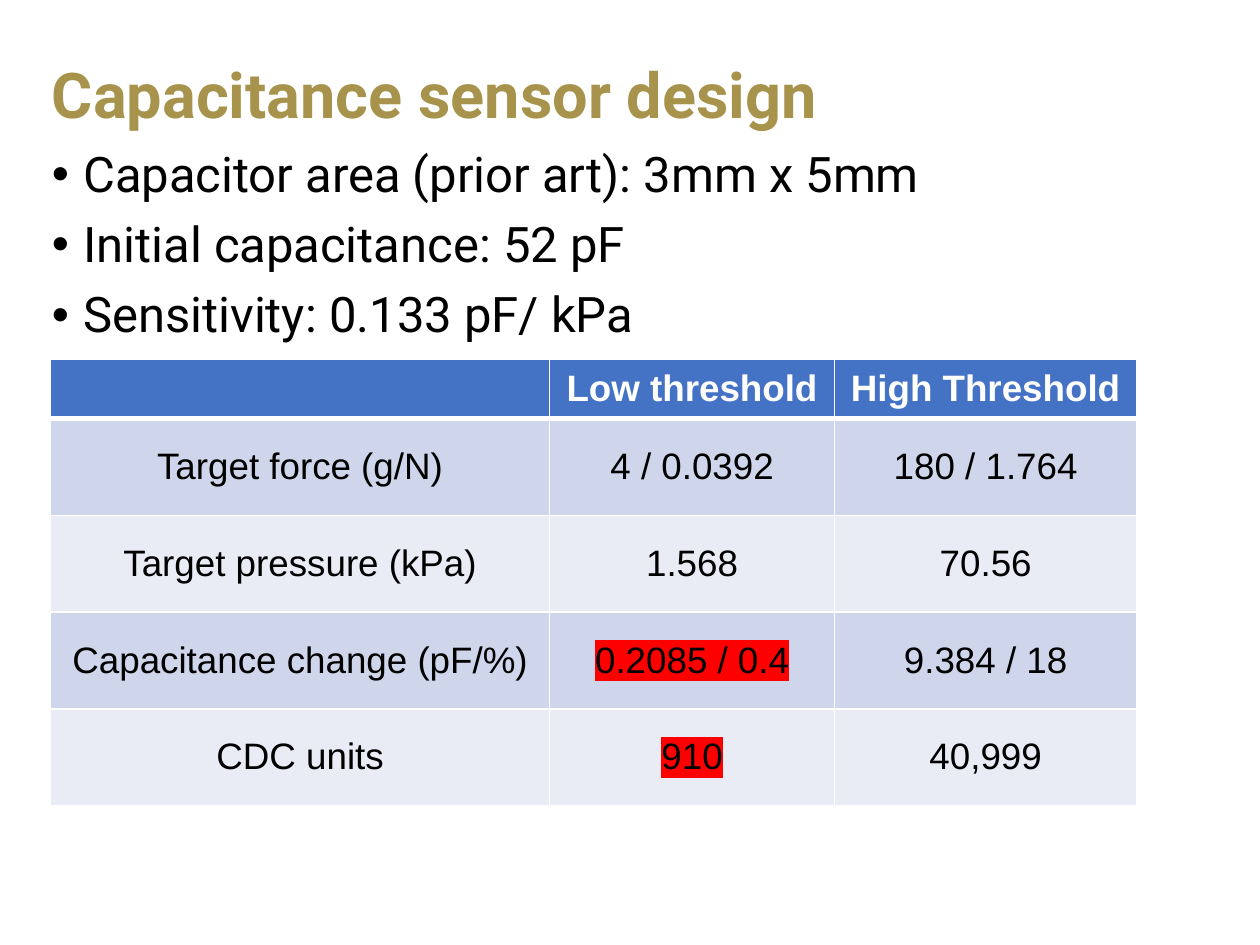
from lxml import etree
from pptx import Presentation
from pptx import util as u
from pptx.dml.color import RGBColor
from pptx.enum import text
from pptx.oxml import ns

GOLD = RGBColor(0xA7, 0x93, 0x4B)
BLACK = RGBColor(0, 0, 0)
WHITE = RGBColor(0xFF, 0xFF, 0xFF)
RED = RGBColor(0xFF, 0, 0)
HEADER_BLUE = RGBColor(0x44, 0x72, 0xC4)
BAND_DARK = RGBColor(0xCF, 0xD5, 0xEA)
BAND_LIGHT = RGBColor(0xE9, 0xEB, 0xF5)

FACTS = [
    "Capacitor area (prior art): 3mm x 5mm",
    "Initial capacitance: 52 pF",
    "Sensitivity: 0.133 pF/ kPa",
]
THRESHOLDS = [
    ["", "Low threshold", "High Threshold"],
    ["Target force (g/N)", "4 / 0.0392", "180 / 1.764"],
    ["Target pressure (kPa)", "1.568", "70.56"],
    ["Capacitance change (pF/%)", "0.2085 / 0.4", "9.384 / 18"],
    ["CDC units", "910", "40,999"],
]
HIGHLIGHTED = {(3, 1), (4, 1)}


def add_color(parent, color):
    fill = etree.SubElement(parent, ns.qn("a:solidFill"))
    etree.SubElement(fill, ns.qn("a:srgbClr"), val=str(color))


class SlideBuilder:
    heading_font = "Roboto"
    table_font = "Arial"

    def __init__(self, slide):
        self.slide = slide

    def format_runs(self, paragraph, font, size, color, bold=False):
        for run in paragraph.runs:
            run.font.name = font
            run.font.size = u.Pt(size)
            run.font.bold = bold
            run.font.color.rgb = color

    def title(self, wording, left, top, width, height):
        heading = self.slide.shapes.title
        heading.left, heading.top = u.Pt(left), u.Pt(top)
        heading.width, heading.height = u.Pt(width), u.Pt(height)
        frame = heading.text_frame
        frame.text = wording
        frame.vertical_anchor = text.MSO_ANCHOR.MIDDLE
        paragraph = frame.paragraphs[0]
        paragraph.alignment = text.PP_ALIGN.LEFT
        paragraph.line_spacing = 0.9
        self.format_runs(paragraph, self.heading_font, 36, GOLD, bold=True)

    def bullets(self, items, left, top, width, height):
        box = self.slide.shapes.add_textbox(
            u.Pt(left), u.Pt(top), u.Pt(width), u.Pt(height))
        frame = box.text_frame
        frame.word_wrap = True
        frame.text = "\n".join(items)
        for index, paragraph in enumerate(frame.paragraphs):
            properties = paragraph._p.get_or_add_pPr()
            properties.set("marL", str(u.Pt(18)))
            properties.set("indent", str(-u.Pt(18)))
            etree.SubElement(properties, ns.qn("a:buFont"), typeface="Arial")
            etree.SubElement(properties, ns.qn("a:buChar"), char="•")
            paragraph.line_spacing = 0.9
            if index:
                paragraph.space_before = u.Pt(10)
            self.format_runs(paragraph, self.heading_font, 28, BLACK)

    def table(self, rows, left, top, widths, heights):
        grid = self.slide.shapes.add_table(
            len(rows), len(widths), u.Pt(left), u.Pt(top),
            u.Pt(sum(widths)), u.Pt(sum(heights))).table
        for column, width in zip(grid.columns, widths):
            column.width = u.Pt(width)
        for row, height in zip(grid.rows, heights):
            row.height = u.Pt(height)
        for r, row in enumerate(rows):
            for c, wording in enumerate(row):
                self.cell(grid.cell(r, c), wording, r, (r, c) in HIGHLIGHTED)

    def cell(self, cell, wording, row, highlighted):
        is_header = row == 0
        cell.text = wording
        cell.vertical_anchor = text.MSO_ANCHOR.MIDDLE
        cell.margin_left = cell.margin_right = u.Pt(8.5)
        cell.margin_top = cell.margin_bottom = u.Pt(4.25)
        cell.fill.solid()
        band = BAND_DARK if row % 2 else BAND_LIGHT
        cell.fill.fore_color.rgb = HEADER_BLUE if is_header else band
        self.borders(cell, top=3 if row == 1 else 1, bottom=3 if is_header else 1)
        paragraph = cell.text_frame.paragraphs[0]
        paragraph.alignment = text.PP_ALIGN.CENTER
        self.format_runs(paragraph, self.table_font, 21,
                         WHITE if is_header else BLACK, bold=is_header)
        if highlighted:
            self.highlight(paragraph.runs[0], RED)

    def borders(self, cell, top, bottom):
        properties = cell._tc.get_or_add_tcPr()
        sides = [("a:lnL", 1), ("a:lnR", 1), ("a:lnT", top), ("a:lnB", bottom)]
        for index, (side, weight) in enumerate(sides):
            line = etree.Element(ns.qn(side), w=str(u.Pt(weight)))
            add_color(line, WHITE)
            properties.insert(index, line)

    def highlight(self, run, color):
        marker = etree.Element(ns.qn("a:highlight"))
        etree.SubElement(marker, ns.qn("a:srgbClr"), val=str(color))
        run.font._element.find(ns.qn("a:solidFill")).addnext(marker)


def main():
    deck = Presentation()
    deck.slide_width, deck.slide_height = u.Pt(720), u.Pt(540)
    builder = SlideBuilder(deck.slides.add_slide(deck.slide_layouts[5]))
    builder.title("Capacitance sensor design", 22.5, 16, 675, 80)
    builder.bullets(FACTS, 22.5, 82, 675, 131)
    builder.table(THRESHOLDS, 29, 205.5, [285, 163, 172.5], [33.5] + [55.3] * 4)
    deck.save("out.pptx")


if __name__ == "__main__":
    main()
